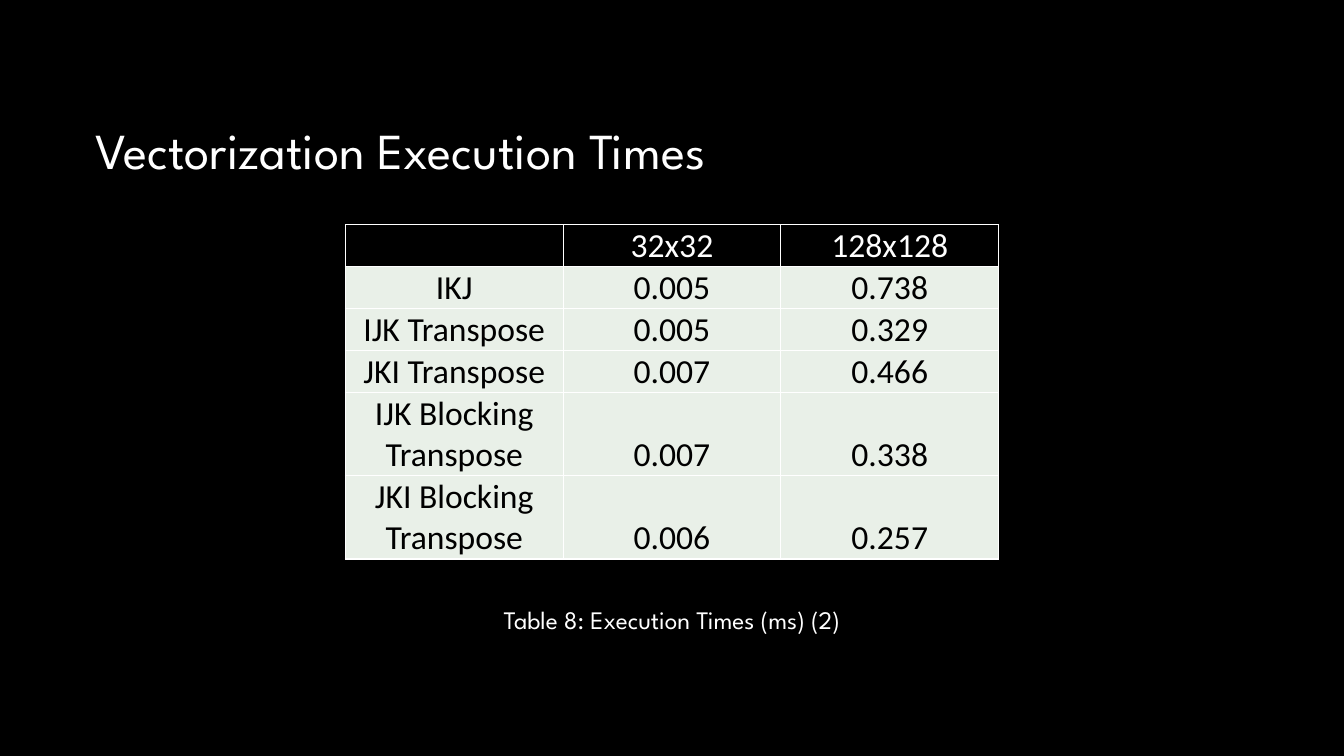
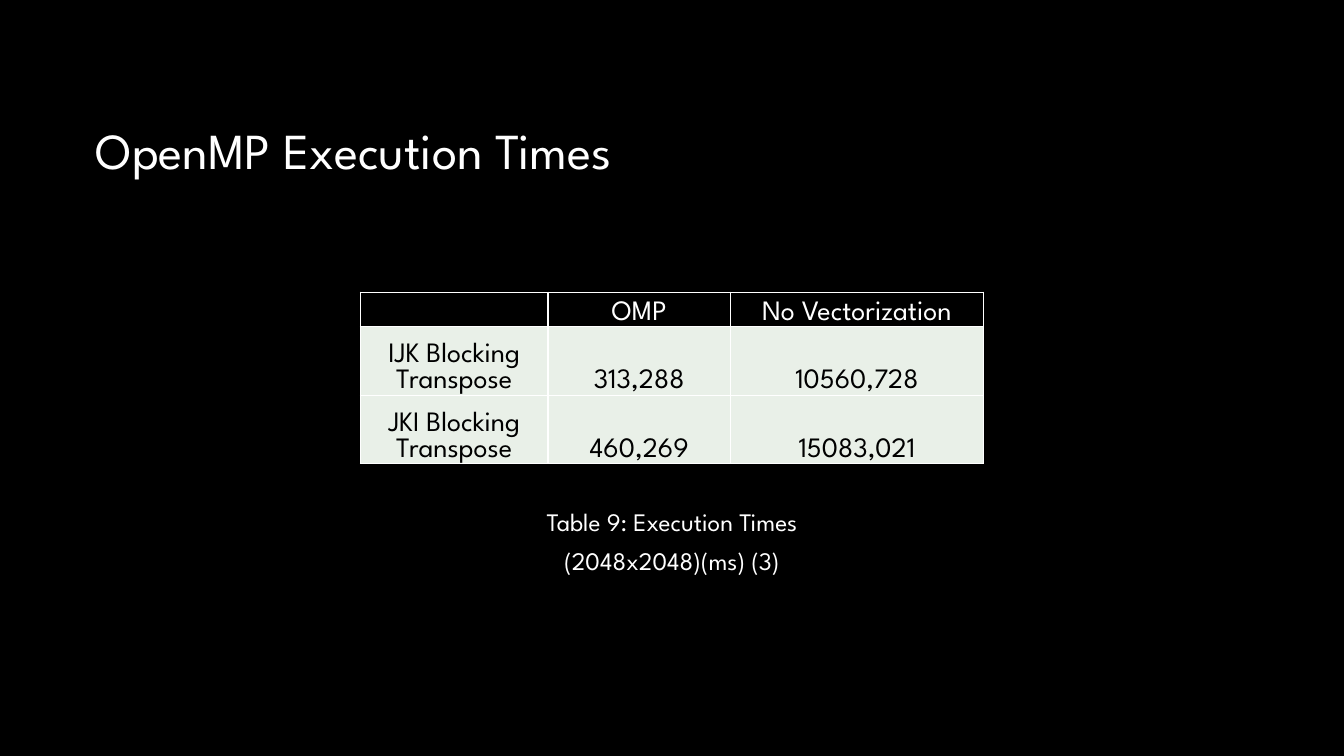
"""Builds two slides of execution time tables."""
from lxml import etree
from pptx import Presentation
from pptx import util as u
from pptx.dml.color import RGBColor
from pptx.enum import text
from pptx.oxml.ns import qn

WIDTH, HEIGHT = 13.33, 7.5
BLACK, WHITE, MINT = "000000", "FFFFFF", "E9F0E8"
DISPLAY, PLAIN = "League Spartan", "Calibri"
TITLE_BOX = (0.85, 0.95, 7.87, 0.71)
CAPTION_SIZE = (3.82, 0.71)
CELL_FORMAT = {
    "margin_left": u.Inches(0.01),
    "margin_right": u.Inches(0.01),
    "margin_top": u.Inches(0.01),
    "margin_bottom": 0,
    "vertical_anchor": text.MSO_ANCHOR.BOTTOM,
}
FRAME_FORMAT = {
    "word_wrap": True,
    "auto_size": text.MSO_AUTO_SIZE.NONE,
    "vertical_anchor": text.MSO_ANCHOR.TOP,
}

TIMINGS = [
    {
        "title": "Vectorization Execution Times",
        "caption": "Table 8: Execution Times (ms) (2)",
        "rows": [
            ("", "32x32", "128x128"),
            ("IKJ", "0.005", "0.738"),
            ("IJK Transpose", "0.005", "0.329"),
            ("JKI Transpose", "0.007", "0.466"),
            ("IJK Blocking Transpose", "0.007", "0.338"),
            ("JKI Blocking Transpose", "0.006", "0.257"),
        ],
        "lines": (1, 1, 1, 1, 2, 2),
        "grid": {"top": 2.23, "columns": (2.16, 2.16, 2.16), "line": 0.4,
                 "font": PLAIN, "size": 24},
        "caption_top": 5.86,
    },
    {
        "title": "OpenMP Execution Times",
        "caption": "Table 9: Execution Times (2048x2048)(ms) (3)",
        "rows": [
            ("", "OMP", "No Vectorization"),
            ("IJK Blocking Transpose", "313,288", "10560,728"),
            ("JKI Blocking Transpose", "460,269", "15083,021"),
        ],
        "lines": (1, 2, 2),
        "grid": {"top": 2.9, "columns": (1.86, 1.81, 2.51), "line": 0.34,
                 "font": DISPLAY, "size": 20},
        "caption_top": 4.88,
    },
]


def paint(fill, color):
    """Fill with one solid hex colour."""
    fill.solid()
    fill.fore_color.rgb = RGBColor.from_string(color)


def apply_format(target, values):
    """Set each named attribute on the target."""
    for name, value in values.items():
        setattr(target, name, value)


def write(frame, words, font, size, color, align, spacing=1.0):
    """Write one formatted paragraph into a text frame."""
    paragraph = frame.paragraphs[0]
    apply_format(paragraph, {"alignment": align, "line_spacing": spacing})
    run = paragraph.add_run()
    run.text = words
    apply_format(run.font, {"name": font, "size": u.Pt(size), "bold": False})
    run.font.color.rgb = RGBColor.from_string(color)


def write_heading(shape, words, size, align):
    """Write display text into a title or caption shape."""
    apply_format(shape.text_frame, FRAME_FORMAT)
    write(shape.text_frame, words, DISPLAY, size, WHITE, align, 1.3)


def add_borders(cell, color):
    """Draw a one-point line on every side of a cell."""
    properties = cell._tc.get_or_add_tcPr()
    for side in ("lnL", "lnR", "lnT", "lnB"):
        line = etree.SubElement(properties, qn(f"a:{side}"), w=str(u.Pt(1)))
        solid = etree.SubElement(line, qn("a:solidFill"))
        etree.SubElement(solid, qn("a:srgbClr"), val=color)


def style_cell(cell, words, font, size, is_header):
    """Format one cell as part of the header or the body."""
    apply_format(cell, CELL_FORMAT)
    add_borders(cell, WHITE)
    paint(cell.fill, BLACK if is_header else MINT)
    if words:
        write(cell.text_frame, words, font, size,
              WHITE if is_header else BLACK, text.PP_ALIGN.CENTER)


def add_times(slide, rows, lines, grid):
    """Place a centred table whose row heights follow their line counts."""
    columns = grid["columns"]
    width, height = sum(columns), sum(lines) * grid["line"]
    box = ((WIDTH - width) / 2, grid["top"], width, height)
    times = slide.shapes.add_table(len(rows), len(columns), *map(u.Inches, box)).table
    apply_format(times, {"first_row": False, "horz_banding": False})
    for column, column_width in zip(times.columns, columns):
        column.width = u.Inches(column_width)
    for index, (row, values) in enumerate(zip(times.rows, rows)):
        row.height = u.Inches(lines[index] * grid["line"])
        for cell, words in zip(row.cells, values):
            style_cell(cell, words, grid["font"], grid["size"], index == 0)


def add_caption(slide, words, top):
    """Place a centred caption below the table."""
    width, height = CAPTION_SIZE
    box = ((WIDTH - width) / 2, top, width, height)
    caption = slide.shapes.add_textbox(*map(u.Inches, box))
    write_heading(caption, words, 18, text.PP_ALIGN.CENTER)


def add_timing_slide(deck, layout, timing):
    """Add a slide with a title, a table and its caption."""
    slide = deck.slides.add_slide(layout)
    write_heading(slide.shapes.title, timing["title"], 36, text.PP_ALIGN.LEFT)
    add_times(slide, timing["rows"], timing["lines"], timing["grid"])
    add_caption(slide, timing["caption"], timing["caption_top"])


def prepare_layout(deck):
    """Set the shared background and title position."""
    paint(deck.slide_master.background.fill, BLACK)
    layout = deck.slide_layouts.get_by_name("Title Only")
    sides = ("left", "top", "width", "height")
    apply_format(layout.placeholders[0], dict(zip(sides, map(u.Inches, TITLE_BOX))))
    return layout


def main():
    """Build and save the presentation."""
    deck = Presentation()
    apply_format(deck, {"slide_width": u.Inches(WIDTH), "slide_height": u.Inches(HEIGHT)})
    layout = prepare_layout(deck)
    for timing in TIMINGS:
        add_timing_slide(deck, layout, timing)
    deck.save("out.pptx")


if __name__ == "__main__":
    main()
